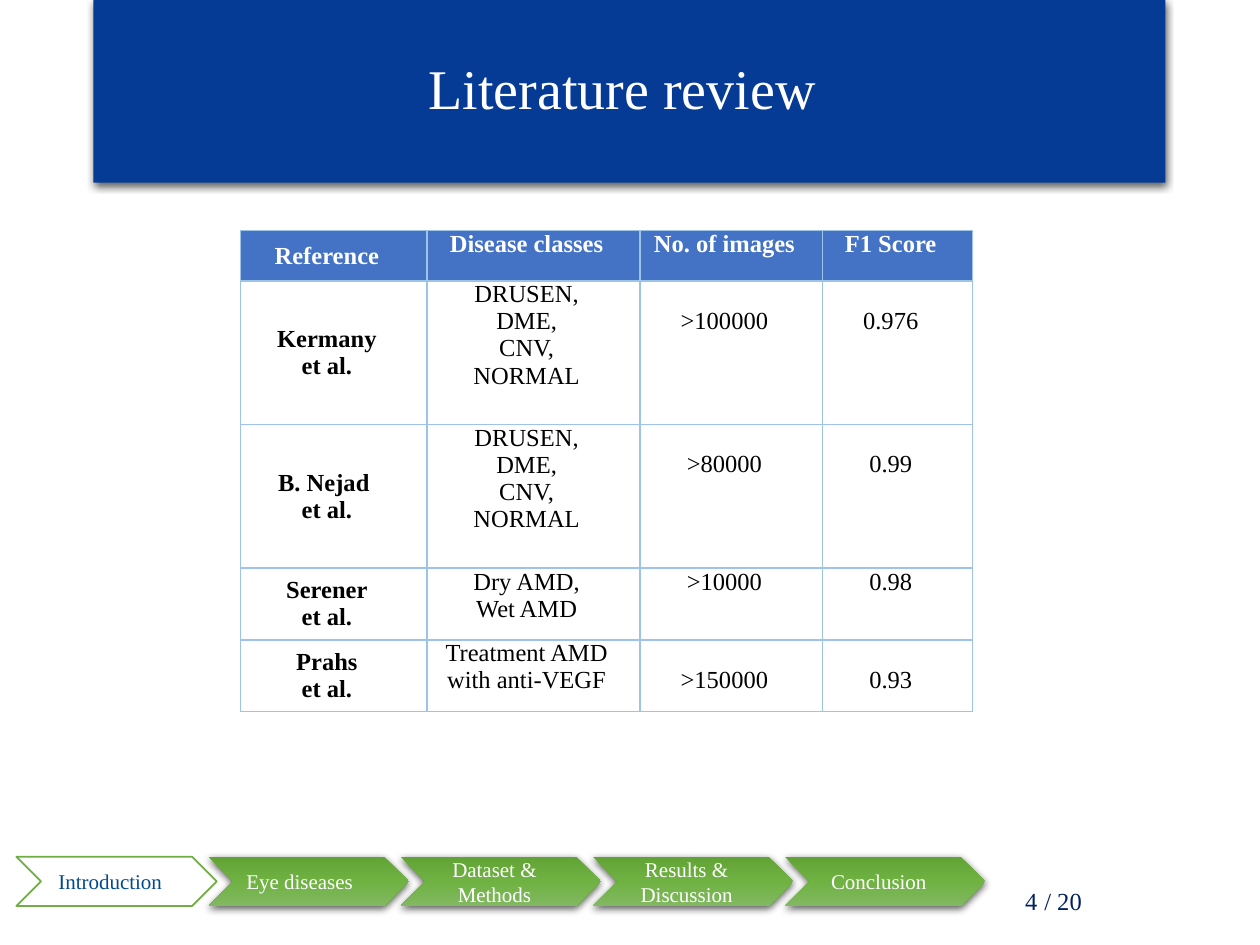
from dataclasses import dataclass

from lxml import etree
from pptx import Presentation
from pptx.dml.color import RGBColor
from pptx.enum.shapes import MSO_SHAPE as Preset
from pptx.enum.text import MSO_ANCHOR as Anchor, PP_ALIGN as Align
from pptx.oxml import parse_xml
from pptx.oxml.ns import nsdecls, qn
from pptx.util import Inches, Pt


@dataclass(frozen=True)
class Theme:
    font: str = "Times New Roman"
    title_size: int = 32
    body_size: int = 14
    step_size: int = 12
    white: str = "FFFFFF"
    black: str = "000000"
    banner: str = "053B95"
    header: str = "4472C4"
    border: str = "9DC3E6"
    green: str = "70AD47"
    current_step: str = "004A8F"
    page: str = "002060"
    step_stops: tuple = ((0, "62A336"), (50, "6FB242"), (100, "81B861"))


THEME = Theme()

HEADINGS = ["Reference", "Disease classes", "No. of images", "F1 Score"]
COLUMN_WIDTHS = [1.48, 1.69, 1.45, 1.19]
FOUR_CLASSES = "DRUSEN,\nDME,\nCNV,\nNORMAL"
# Reference, classes, images, score, row height, whether figures sit a line lower
STUDIES = [
    ("Kermany\net al.", FOUR_CLASSES, ">100000", "0.976", 1.14, True),
    ("B. Nejad \net al.", FOUR_CLASSES, ">80000", "0.99", 1.14, True),
    ("Serener\net al.", "Dry AMD,\nWet AMD", ">10000", "0.98", 0.57, False),
    ("Prahs\net al.", "Treatment AMD with anti-VEGF", ">150000", "0.93", 0.57, True),
]
HEADER_HEIGHT = 0.4
LINE_HEIGHT = 0.21
STEPS = ["Introduction", "Eye diseases ", "Dataset & Methods",
         "Results & Discussion", "Conclusion"]


def rgb(color):
    return RGBColor.from_string(color)


def write(frame, text, size, color, bold=False, align=Align.CENTER):
    """Fill the first paragraph, one run for each line."""
    paragraph = frame.paragraphs[0]
    paragraph.alignment = align
    for index, line in enumerate(text.split("\n")):
        if index:
            paragraph.add_line_break()
        run = paragraph.add_run()
        run.text = line
        run.font.name = THEME.font
        run.font.size = Pt(size)
        run.font.bold = bold
        run.font.color.rgb = rgb(color)
    return paragraph


def add_label(shapes, box, text, size, color, align=Align.CENTER):
    frame = shapes.add_textbox(*map(Inches, box)).text_frame
    frame.word_wrap = True
    frame.vertical_anchor = Anchor.MIDDLE
    return write(frame, text, size, color, align=align)


def add_shadow(shape):
    shape.shadow.inherit = False
    effects = shape._element.spPr.find(qn("a:effectLst"))
    effects.append(parse_xml(
        f'<a:outerShdw {nsdecls("a")} blurRad="{Pt(4.5)}" dist="{Pt(1.5)}" dir="5400000">'
        f'<a:srgbClr val="{THEME.black}"><a:alpha val="63000"/></a:srgbClr></a:outerShdw>'))


def fill_gradient(shape, stops):
    """Shade the shape from top to bottom."""
    shape.fill.gradient()
    gradient = shape._element.spPr.find(qn("a:gradFill"))
    stop_list = gradient.find(qn("a:gsLst"))
    for stop in list(stop_list):
        stop_list.remove(stop)
    for position, color in stops:
        stop = etree.SubElement(stop_list, qn("a:gs"), pos=str(position * 1000))
        etree.SubElement(stop, qn("a:srgbClr"), val=color)
    gradient.find(qn("a:lin")).set("ang", "5400000")


def add_banner(slide, box, title):
    banner = slide.shapes.add_shape(Preset.RECTANGLE, *map(Inches, box))
    banner.fill.solid()
    banner.fill.fore_color.rgb = rgb(THEME.banner)
    banner.line.fill.background()
    add_shadow(banner)
    banner.text_frame.vertical_anchor = Anchor.MIDDLE
    paragraph = write(banner.text_frame, title, THEME.title_size, THEME.white)
    paragraph.line_spacing = 0.9


def set_borders(cell):
    properties = cell._tc.get_or_add_tcPr()
    for index, side in enumerate(("lnL", "lnR", "lnT", "lnB")):
        properties.insert(index, parse_xml(
            f'<a:{side} {nsdecls("a")} w="{Pt(1)}"><a:solidFill>'
            f'<a:srgbClr val="{THEME.border}"/></a:solidFill></a:{side}>'))


def style_cell(cell, text, fill, color, bold, middle, top=0):
    cell.fill.solid()
    cell.fill.fore_color.rgb = rgb(fill)
    cell.margin_left = Inches(0.07)
    cell.margin_right = Inches(0.18)
    cell.margin_top = Inches(top)
    cell.margin_bottom = 0
    cell.vertical_anchor = Anchor.MIDDLE if middle else Anchor.TOP
    write(cell.text_frame, text, THEME.body_size, color, bold)
    set_borders(cell)


def add_review_table(slide, left, top):
    heights = [HEADER_HEIGHT] + [study[4] for study in STUDIES]
    box = (left, top, sum(COLUMN_WIDTHS), sum(heights))
    table = slide.shapes.add_table(
        len(heights), len(COLUMN_WIDTHS), *map(Inches, box)).table
    for column, width in zip(table.columns, COLUMN_WIDTHS):
        column.width = Inches(width)
    for row, height in zip(table.rows, heights):
        row.height = Inches(height)
    for column, heading in enumerate(HEADINGS):
        style_cell(table.cell(0, column), heading, THEME.header, THEME.white,
                   bold=True, middle=column == 0)
    for row, (*texts, _, lowered) in enumerate(STUDIES, start=1):
        for column, text in enumerate(texts):
            is_reference = column == 0
            top_margin = LINE_HEIGHT if lowered and column >= 2 else 0
            style_cell(table.cell(row, column), text, THEME.white, THEME.black,
                       is_reference, is_reference, top_margin)


def add_step(slide, box, text, current):
    left, top, width, height = box
    group = slide.shapes.add_group_shape()
    chevron = group.shapes.add_shape(Preset.CHEVRON, *map(Inches, box))
    if current:
        chevron.shadow.inherit = False
        chevron.fill.solid()
        chevron.fill.fore_color.rgb = rgb(THEME.white)
        chevron.line.color.rgb = rgb(THEME.green)
        chevron.line.width = Pt(1)
    else:
        fill_gradient(chevron, THEME.step_stops)
        chevron.line.fill.background()
        add_shadow(chevron)
    label_height = 0.5
    label_box = (left + 0.11, top + (height - label_height) / 2, 1.27, label_height)
    add_label(group.shapes, label_box, text, THEME.step_size,
              THEME.current_step if current else THEME.white)


def add_progress(slide, box, current):
    """Spread overlapping chevrons evenly over the box."""
    left, top, width, height = box
    step_width = 1.59
    pitch = (width - step_width) / (len(STEPS) - 1)
    for index, text in enumerate(STEPS):
        add_step(slide, (left + index * pitch, top, step_width, height),
                 text, index == current)


def add_page_number(slide, left, top, number, total):
    add_label(slide.shapes, (left - 1.13, top - 0.03, 2.25, 0.4), number,
              THEME.body_size, THEME.page)
    add_label(slide.shapes, (left, top, 0.6, 0.34), f"/ {total}",
              THEME.body_size, THEME.page, Align.LEFT)


def main():
    presentation = Presentation()
    presentation.slide_width = Inches(10)
    presentation.slide_height = Inches(7.5)
    slide = presentation.slides.add_slide(presentation.slide_layouts[6])
    add_page_number(slide, 8.19, 6.98, "4", "20")
    add_progress(slide, (0.13, 6.8, 7.69, 0.39), current=0)
    add_banner(slide, (0.74, 0, 8.51, 1.45), "Literature review ")
    add_review_table(slide, 1.91, 1.83)
    presentation.save("out.pptx")


if __name__ == "__main__":
    main()
